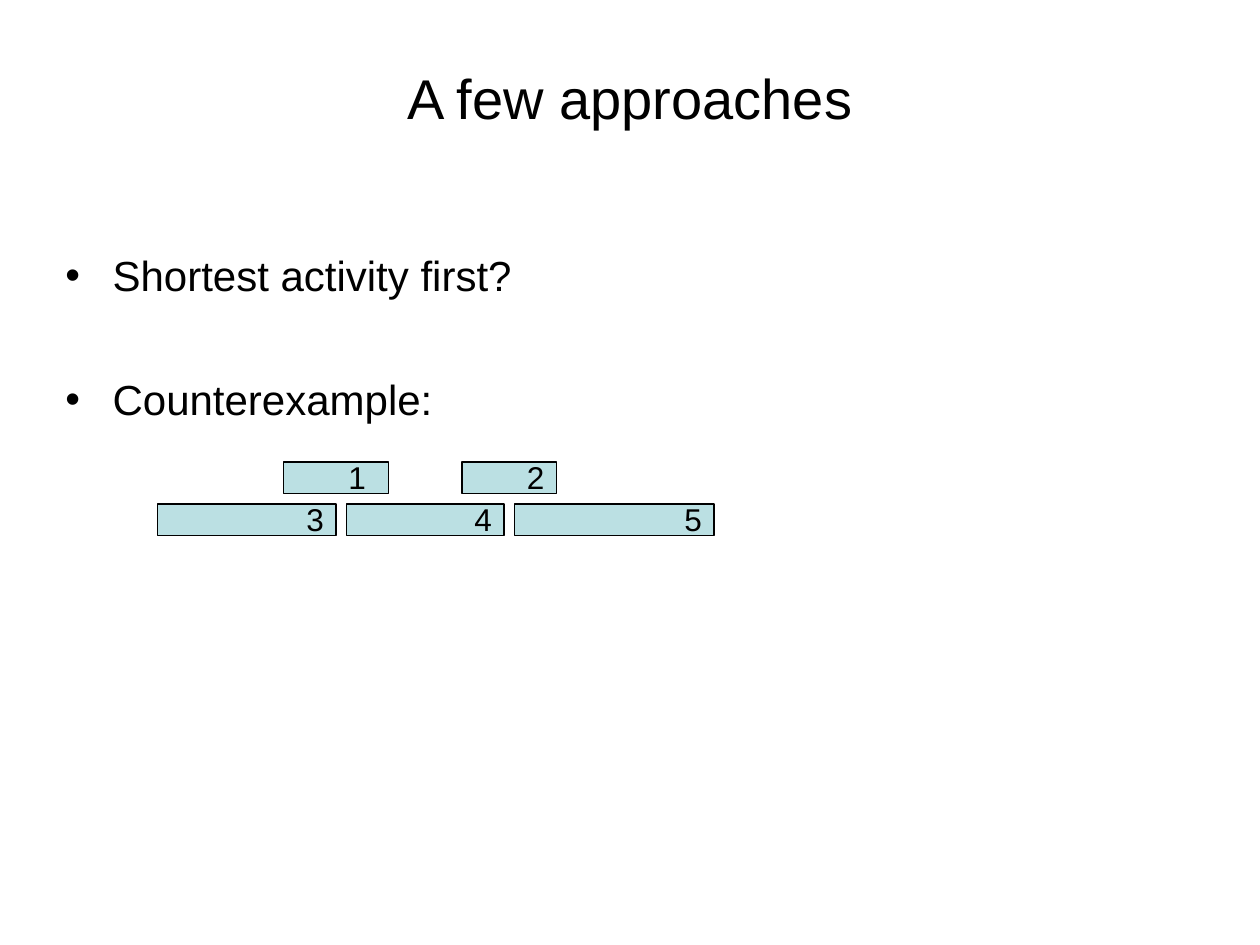
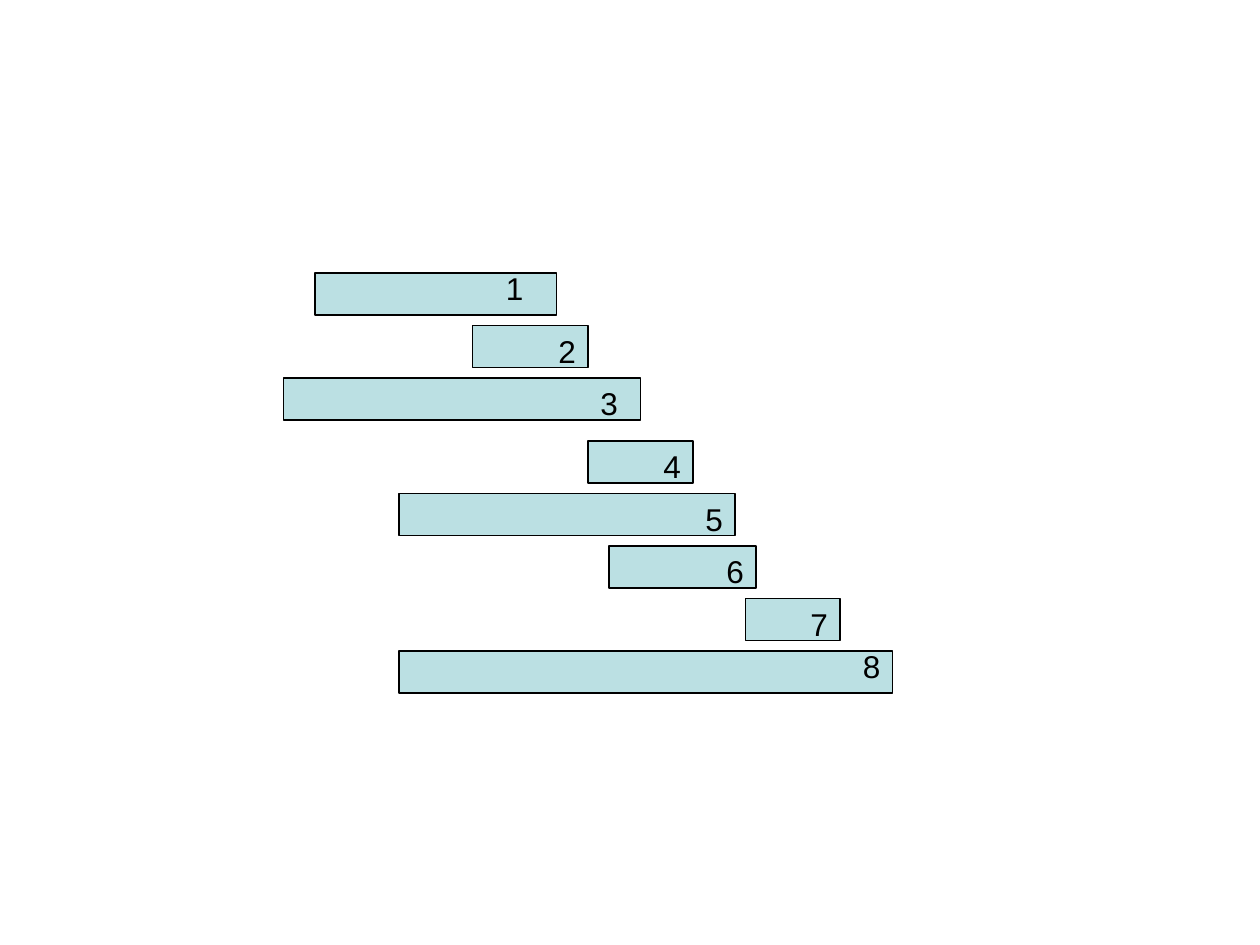
from lxml.etree import SubElement
from pptx import Presentation
from pptx.dml.color import RGBColor
from pptx.enum.shapes import MSO_SHAPE
from pptx.enum.text import MSO_ANCHOR, MSO_AUTO_SIZE, PP_ALIGN
from pptx.oxml.ns import qn
from pptx.util import Cm, Pt

# Content
TITLE = "A few approaches"
BULLETS = ["Shortest activity first?", "Counterexample:"]

# Activities in grid units (twelfths of an inch):
# (bar left, bar top, bar width), (label left, label top, label width)
COUNTEREXAMPLE = [
    ((27, 44, 10), (32, 43, 3)),
    ((44, 44, 9), (49, 43, 3)),
    ((15, 48, 17), (28, 47, 3)),
    ((33, 48, 15), (44, 47, 3)),
    ((49, 48, 19), (64, 47, 3)),
]
SCHEDULE = [
    ((30, 26, 23), (47, 25, 7)),
    ((45, 31, 11), (52, 31, 5)),
    ((27, 36, 34), (56, 36, 6)),
    ((56, 42, 10), (62, 42, 4)),
    ((38, 47, 32), (66, 47, 5)),
    ((58, 52, 14), (68, 52, 5)),
    ((71, 57, 9), (76, 57, 3)),
    ((38, 62, 47), (81, 61, 5)),
]

# Shared style
BLACK = RGBColor(0x00, 0x00, 0x00)
WHITE = RGBColor(0xFF, 0xFF, 0xFF)
BAR_FILL = RGBColor(0xBB, 0xE0, 0xE3)
UNIT = Cm(2.54) / 12
LABEL_HEIGHT = Cm(1.02)
FRAME = {"margin_left": Cm(0.25), "margin_right": Cm(0.25),
         "margin_top": Cm(0.13), "margin_bottom": Cm(0.13), "word_wrap": True}
TITLE_FRAME = {**FRAME, "vertical_anchor": MSO_ANCHOR.MIDDLE,
               "auto_size": MSO_AUTO_SIZE.NONE}
BODY_FRAME = {**FRAME, "margin_top": Cm(1.43)}
LABEL_FRAME = {**FRAME, "auto_size": MSO_AUTO_SIZE.SHAPE_TO_FIT_TEXT}


def set_attributes(target, values):
    for name, value in values.items():
        setattr(target, name, value)


def write(paragraph, text, size, **layout):
    set_attributes(paragraph, layout)
    run = paragraph.add_run()
    run.text = text
    set_attributes(run.font, {"name": "Arial", "size": Pt(size)})
    run.font.color.rgb = BLACK


def add_bullet(paragraph, indent):
    properties = paragraph._p.get_or_add_pPr()
    properties.set("marL", str(indent))
    properties.set("indent", str(-indent))
    SubElement(properties, qn("a:buFont"), typeface="Arial")
    SubElement(properties, qn("a:buChar"), char="•")


def add_slide(layout_name):
    layout = presentation.slide_layouts.get_by_name(layout_name)
    slide = presentation.slides.add_slide(layout)
    slide.background.fill.solid()
    slide.background.fill.fore_color.rgb = WHITE
    return slide


def add_activities(slide, activities, bar_units):
    group = slide.shapes.add_group_shape()
    # Bars lie behind all labels
    for (left, top, width), _ in activities:
        bar = group.shapes.add_shape(
            MSO_SHAPE.RECTANGLE,
            *(round(value * UNIT) for value in (left, top, width, bar_units)))
        bar.shadow.inherit = False
        bar.fill.solid()
        bar.fill.fore_color.rgb = BAR_FILL
        bar.line.color.rgb = BLACK
        bar.line.width = Pt(0.74)
    for number, (_, place) in enumerate(activities, start=1):
        label = group.shapes.add_textbox(
            *(round(value * UNIT) for value in place), LABEL_HEIGHT)
        set_attributes(label.text_frame, LABEL_FRAME)
        write(label.text_frame.paragraphs[0], str(number), 18,
              space_before=Pt(11.2))


presentation = Presentation()
presentation.slide_width = Cm(25.4)
presentation.slide_height = Cm(19.05)

# Slide 1: title, bullets and the counterexample
slide = add_slide("Title Only")
title = slide.shapes.title
set_attributes(title, {"left": Cm(1.27), "top": Cm(0.76),
                       "width": Cm(22.86), "height": Cm(2.41)})
set_attributes(title.text_frame, TITLE_FRAME)
write(title.text_frame.paragraphs[0], TITLE, 32, alignment=PP_ALIGN.CENTER)

body = slide.shapes.add_textbox(Cm(1.07), Cm(3.61), Cm(22.86), Cm(14.6))
set_attributes(body.text_frame, BODY_FRAME)
for index, text in enumerate(BULLETS):
    if index:
        paragraph = body.text_frame.add_paragraph()
    else:
        paragraph = body.text_frame.paragraphs[0]
    write(paragraph, text, 24, space_before=Pt(42 if index else 0))
    add_bullet(paragraph, Cm(0.95))

add_activities(slide, COUNTEREXAMPLE, bar_units=3)

# Slide 2: activities ordered by finish time
add_activities(add_slide("Blank"), SCHEDULE, bar_units=4)

presentation.save("out.pptx")
